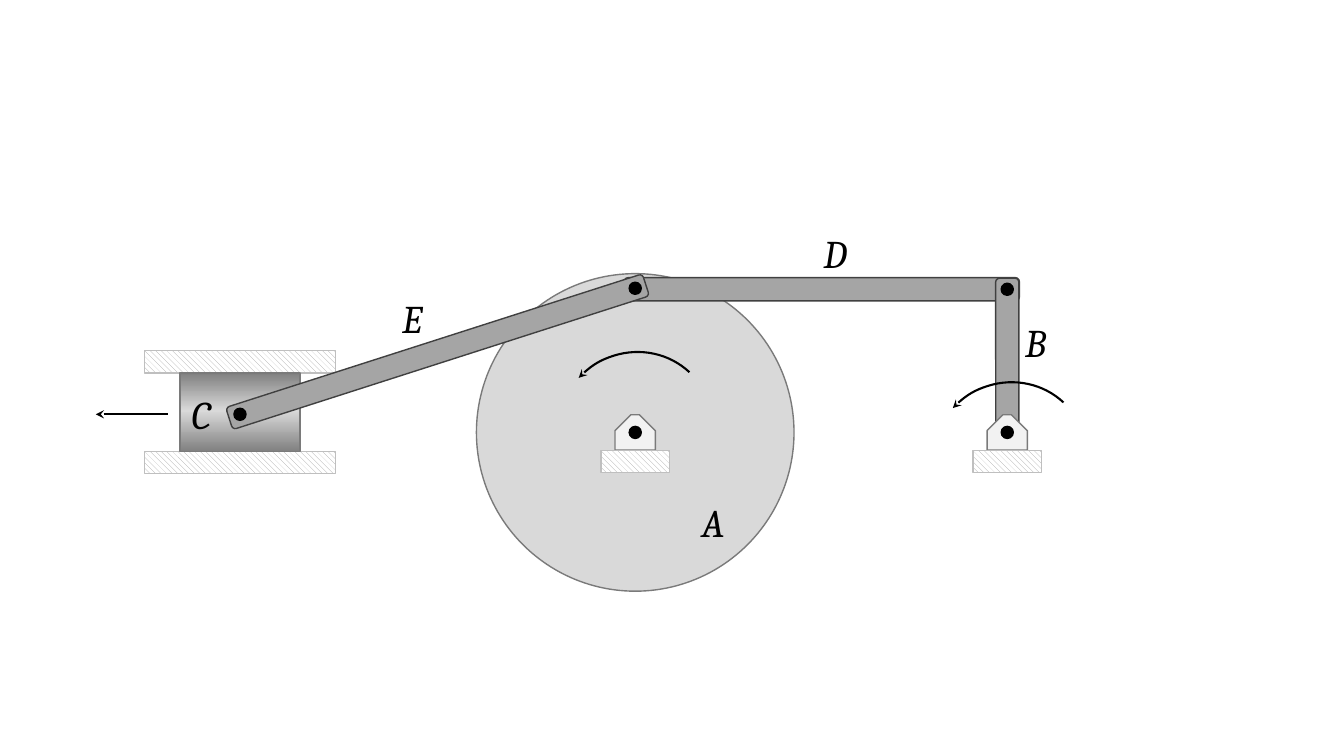
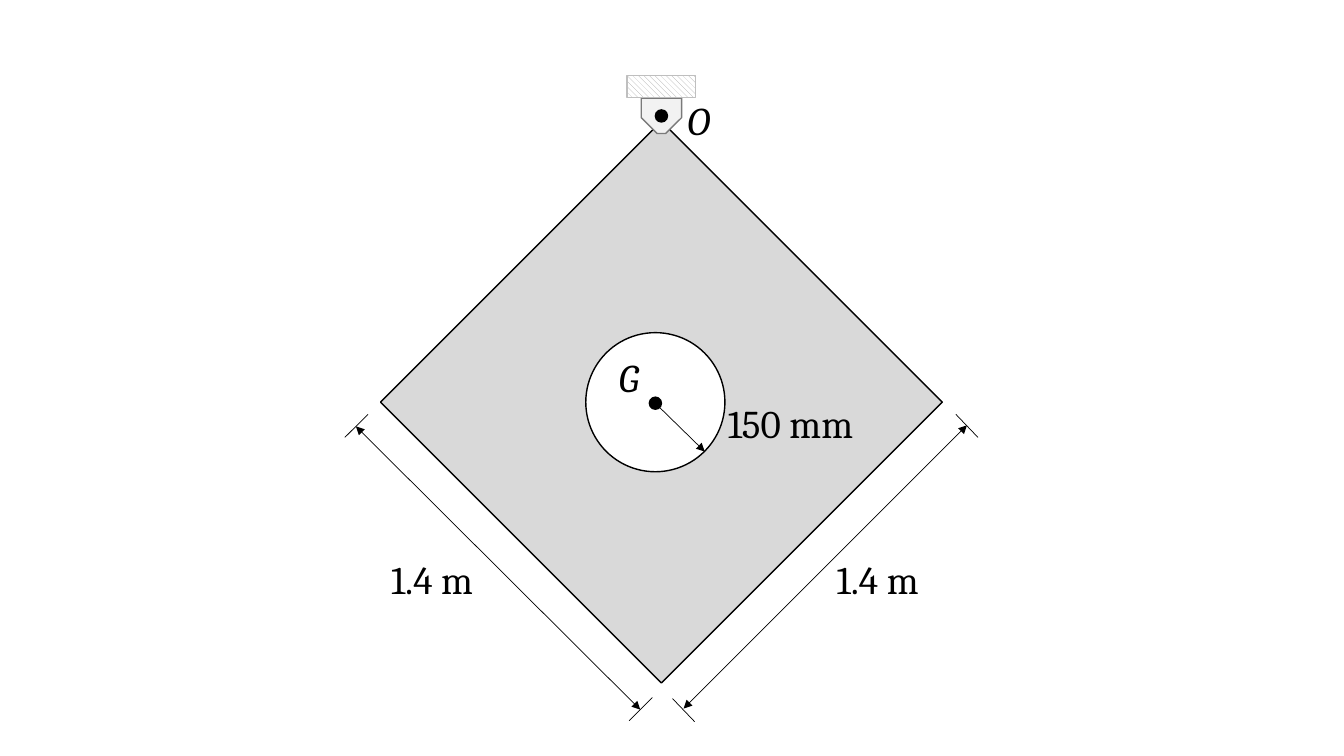
from copy import deepcopy

from pptx import Presentation
from pptx.dml.color import RGBColor
from pptx.enum.dml import MSO_PATTERN
from pptx.enum.shapes import MSO_CONNECTOR, MSO_SHAPE
from pptx.oxml.ns import qn
from pptx.oxml.xmlchemy import OxmlElement
from pptx.util import Inches, Pt

ELLIPSE = MSO_SHAPE.OVAL
RECT = MSO_SHAPE.RECTANGLE
BAR = MSO_SHAPE.ROUNDED_RECTANGLE
BRACKET = MSO_SHAPE.SNIP_2_SAME_RECTANGLE
ARC = MSO_SHAPE.ARC
HATCH = MSO_PATTERN.WIDE_DOWNWARD_DIAGONAL

BLACK = RGBColor(0x00, 0x00, 0x00)
WHITE = RGBColor(0xFF, 0xFF, 0xFF)
PLATE = RGBColor(0xD9, 0xD9, 0xD9)
LIGHT = RGBColor(0xF2, 0xF2, 0xF2)
STEEL = RGBColor(0xA5, 0xA5, 0xA5)
DARK_STEEL = RGBColor(0x80, 0x80, 0x80)
EDGE = RGBColor(0x7A, 0x7A, 0x7A)
BAR_EDGE = RGBColor(0x40, 0x40, 0x40)
GROUND_EDGE = RGBColor(0xBF, 0xBF, 0xBF)

FONT = "Cambria"
PIN = 0.12
GROUND_H = 0.22


def add_part(s, kind, cx, cy, w, h, fill, edge, rot=0):
    """Add a shape by its centre; HATCH as fill gives hatching, None no fill."""
    sp = s.shapes.add_shape(kind, Inches(cx - w / 2), Inches(cy - h / 2), Inches(w), Inches(h))
    sp.rotation = rot
    sp.shadow.inherit = False
    if fill is None:
        sp.fill.background()
    elif fill == HATCH:
        sp.fill.patterned()
        sp.fill.pattern = HATCH
        sp.fill.fore_color.rgb = STEEL
        sp.fill.back_color.rgb = WHITE
    else:
        sp.fill.solid()
        sp.fill.fore_color.rgb = fill
    sp.line.color.rgb = edge
    sp.line.width = Pt(1)
    return sp


def add_arrowheads(sp, heads):
    """Add line ends, given as {"headEnd" or "tailEnd": type}."""
    ln = sp._element.spPr.find(qn("a:ln"))
    for end, kind in heads.items():
        el = OxmlElement(f"a:{end}")
        el.set("type", kind)
        ln.append(el)


prs = Presentation()
prs.slide_width = Inches(13.33)
prs.slide_height = Inches(7.5)
blank = prs.slide_layouts[6]
linkage = prs.slides.add_slide(blank)
pendulum = prs.slides.add_slide(blank)

# Linkage: disk, slider with guides, bars
add_part(linkage, ELLIPSE, 6.3, 4.29, 3.15, 3.15, PLATE, EDGE)
add_part(linkage, BAR, 8.15, 2.87, 3.92, 0.23, STEEL, BAR_EDGE)
for cy in (3.59, 4.59):
    add_part(linkage, RECT, 2.38, cy, 1.89, GROUND_H, HATCH, GROUND_EDGE)

piston = add_part(linkage, RECT, 2.38, 4.09, 1.19, 0.78, PLATE, EDGE)
piston.fill.gradient()
piston.fill.gradient_angle = 270
gs_list = piston._element.spPr.find(".//" + qn("a:gsLst"))
gs_list.insert(1, deepcopy(gs_list[0]))
piston_stops = ((0, DARK_STEEL), (0.48, PLATE), (1, DARK_STEEL))
for stop, (position, color) in zip(piston.fill.gradient_stops, piston_stops):
    stop.position = position
    stop.color.rgb = color

add_part(linkage, BAR, 4.34, 3.49, 4.34, 0.23, STEEL, BAR_EDGE, 342.2)
add_part(linkage, BAR, 9.99, 3.57, 1.62, 0.23, STEEL, BAR_EDGE, 90)

# Pendulum: square plate with a round hole
add_part(pendulum, RECT, 6.56, 3.99, 3.94, 3.94, PLATE, BLACK, 45)
add_part(pendulum, ELLIPSE, 6.5, 3.99, 1.38, 1.38, WHITE, BLACK)

# Fixed supports, standing on or hanging from hatched ground
for s, cx, cy, rot in (
    (linkage, 6.3, 4.29, 0),
    (linkage, 9.99, 4.29, 0),
    (pendulum, 6.56, 1.15, 180),
):
    bracket = add_part(s, BRACKET, cx, cy, 0.4, 0.35, LIGHT, EDGE, rot)
    bracket.adjustments[0] = 0.45
    bracket.adjustments[1] = 0
    ground_y = cy - 0.29 if rot else cy + 0.29
    add_part(s, RECT, cx, ground_y, 0.68, GROUND_H, HATCH, GROUND_EDGE, rot)
    add_part(s, ELLIPSE, cx, cy, PIN, PIN, BLACK, BLACK)

for s, cx, cy in (
    (linkage, 2.38, 4.11),
    (linkage, 6.3, 2.86),
    (linkage, 9.99, 2.87),
    (pendulum, 6.5, 4),
):
    add_part(s, ELLIPSE, cx, cy, PIN, PIN, BLACK, BLACK)

# Rotation arrows
for cx, cy in ((10.01, 4.57), (6.3, 4.27)):
    arc = add_part(linkage, ARC, cx, cy, 1.58, 1.53, None, BLACK, 313)
    arc.line.width = Pt(1.5)
    add_arrowheads(arc, {"headEnd": "stealth"})

# Labels: point names in italics, dimensions upright
for s, text, left, top, width, italic in (
    (linkage, "A", 6.86, 4.89, 0.92, True),
    (linkage, "C", 1.8, 3.82, 0.92, True),
    (linkage, "E", 3.89, 2.87, 0.92, True),
    (linkage, "D", 8.07, 2.23, 0.92, True),
    (linkage, "B", 10.07, 3.11, 0.92, True),
    (pendulum, "G", 6.04, 3.46, 0.92, True),
    (pendulum, "O", 6.72, 0.91, 0.92, True),
    (pendulum, "1.4 m", 3.78, 5.46, 1.62, False),
    (pendulum, "1.4 m", 8.2, 5.46, 1.62, False),
    (pendulum, "150 mm", 7.12, 3.91, 1.62, False),
):
    box = s.shapes.add_textbox(Inches(left), Inches(top), Inches(width), Inches(0.57))
    tf = box.text_frame
    tf.word_wrap = True
    tf.text = text
    font = tf.paragraphs[0].runs[0].font
    font.name = FONT
    font.size = Pt(28)
    font.italic = italic
    font.color.rgb = BLACK

# Motion arrow, dimension lines with end ticks, radius
BOTH_ENDS = {"headEnd": "triangle", "tailEnd": "triangle"}
for s, x1, y1, x2, y2, weight, heads in (
    (linkage, 0.95, 4.11, 1.67, 4.11, 1.5, {"headEnd": "stealth"}),
    (pendulum, 9.7, 4.34, 9.48, 4.11, 0.5, {}),
    (pendulum, 9.59, 4.22, 6.78, 7.03, 0.5, BOTH_ENDS),
    (pendulum, 6.89, 7.16, 6.67, 6.93, 0.5, {}),
    (pendulum, 3.65, 4.11, 3.42, 4.34, 0.5, {}),
    (pendulum, 3.53, 4.23, 6.35, 7.04, 0.5, BOTH_ENDS),
    (pendulum, 6.47, 6.92, 6.24, 7.15, 0.5, {}),
    (pendulum, 6.54, 4.04, 6.99, 4.48, 0.5, {"tailEnd": "triangle"}),
):
    line = s.shapes.add_connector(
        MSO_CONNECTOR.STRAIGHT, Inches(x1), Inches(y1), Inches(x2), Inches(y2)
    )
    line.line.color.rgb = BLACK
    line.line.width = Pt(weight)
    add_arrowheads(line, heads)
    line._element.spPr.append(OxmlElement("a:effectLst"))

prs.save("out.pptx")
